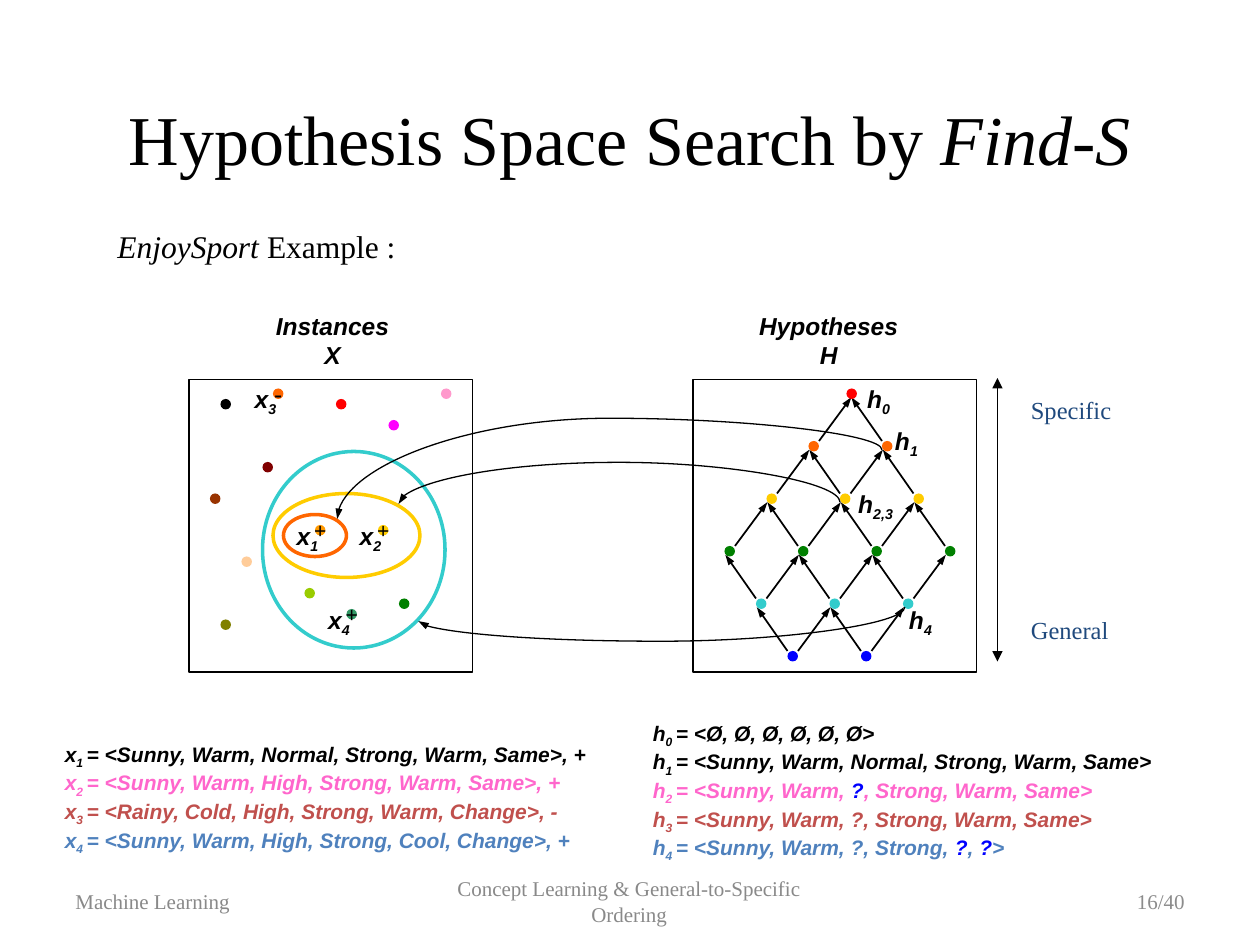
"""Build the slide on hypothesis space search by Find-S."""
import itertools
from dataclasses import dataclass

import lxml.etree
import pptx
import pptx.dml.color
import pptx.enum.shapes
import pptx.enum.text
import pptx.oxml.ns
import pptx.util

BLACK = pptx.dml.color.RGBColor(0x00, 0x00, 0x00)
GREY = pptx.dml.color.RGBColor(0x89, 0x89, 0x89)
PAGE_GREY = pptx.dml.color.RGBColor(0x8C, 0x8C, 0x8C)
NAVY = pptx.dml.color.RGBColor(0x1F, 0x49, 0x7D)
BLUE = pptx.dml.color.RGBColor(0x00, 0x00, 0xFF)
ROSE = pptx.dml.color.RGBColor(0xFF, 0x66, 0xCC)
BRICK = pptx.dml.color.RGBColor(0xC0, 0x50, 0x4D)
STEEL = pptx.dml.color.RGBColor(0x4F, 0x81, 0xBD)
RED = pptx.dml.color.RGBColor(0xFF, 0x00, 0x00)
ORANGE = pptx.dml.color.RGBColor(0xFF, 0x66, 0x00)
AMBER = pptx.dml.color.RGBColor(0xFF, 0x99, 0x00)
YELLOW = pptx.dml.color.RGBColor(0xFF, 0xCC, 0x00)
GREEN = pptx.dml.color.RGBColor(0x00, 0x80, 0x00)
TEAL = pptx.dml.color.RGBColor(0x33, 0xCC, 0xCC)
PINK = pptx.dml.color.RGBColor(0xFF, 0x99, 0xCC)
MAGENTA = pptx.dml.color.RGBColor(0xFF, 0x00, 0xFF)
BROWN = pptx.dml.color.RGBColor(0x99, 0x33, 0x00)
OLIVE = pptx.dml.color.RGBColor(0x80, 0x80, 0x00)
PEACH = pptx.dml.color.RGBColor(0xFF, 0xCC, 0x99)
MAROON = pptx.dml.color.RGBColor(0x80, 0x00, 0x00)
LIME = pptx.dml.color.RGBColor(0x99, 0xCC, 0x00)
SEA = pptx.dml.color.RGBColor(0x33, 0x99, 0x66)
SANS, SERIF = "Arial", "Times New Roman"
LEFT = pptx.enum.text.PP_ALIGN.LEFT
CENTER = pptx.enum.text.PP_ALIGN.CENTER
RIGHT = pptx.enum.text.PP_ALIGN.RIGHT
MIDDLE = pptx.enum.text.MSO_ANCHOR.MIDDLE
OVAL = pptx.enum.shapes.MSO_SHAPE.OVAL
RECTANGLE = pptx.enum.shapes.MSO_SHAPE.RECTANGLE
STRAIGHT = pptx.enum.shapes.MSO_CONNECTOR.STRAIGHT
CURVED = pptx.enum.shapes.MSO_CONNECTOR.CURVE
DOT = 6
ROW_STEP, COLUMN_STEP = 30, 42


@dataclass(frozen=True)
class Piece:
    text: str
    color: pptx.dml.color.RGBColor = BLACK
    size: float = 12
    font: str = SANS
    bold: bool = False
    italic: bool = False
    subscript: bool = False


@dataclass(frozen=True)
class Dot:
    left: float
    top: float
    color: pptx.dml.color.RGBColor
    sign: str = ""
    sign_size: float = 12


@dataclass(frozen=True)
class Row:
    left: float
    count: int
    color: pptx.dml.color.RGBColor
    tip: float = 0.5


@dataclass(frozen=True)
class Curve:
    start: tuple[float, float]
    end: tuple[float, float]
    bend: float


ROWS = [Row(483.7, 1, RED, 2.8), Row(462, 2, ORANGE), Row(438, 3, YELLOW),
        Row(414, 4, GREEN), Row(432, 3, TEAL), Row(450, 2, BLUE)]
INSTANCES = [
    Dot(252, 222, PINK), Dot(222, 240, MAGENTA), Dot(126, 228, BLACK),
    Dot(156, 222, ORANGE, "-", 14), Dot(120, 282, BROWN), Dot(126, 354, OLIVE),
    Dot(138, 318, PEACH), Dot(150, 264, MAROON), Dot(174, 336, LIME),
    Dot(228, 342, GREEN), Dot(198, 348, SEA, "+"), Dot(216, 300, YELLOW, "+"),
    Dot(180, 300, AMBER, "+"), Dot(192, 228, RED)]
CURVES = [Curve((192.7, 296.6), (504, 257), 239), Curve((239, 355), (517, 347), 366.5),
          Curve((227.7, 288), (480, 287), 264)]
LABELS = [("h", "0", 488, 216, 28), ("h", "1", 504, 240, 28), ("h", "2,3", 480.3, 276, 40),
          ("h", "4", 512, 342, 28), ("x", "3", 138, 216, 27.5), ("x", "1", 162, 294, 27.5),
          ("x", "2", 198, 294, 27.5), ("x", "4", 180, 342, 27.5)]
EXAMPLES = [("x", "1", BLACK, "<Sunny, Warm, Normal, Strong, Warm, Same>, +"),
            ("x", "2", ROSE, "<Sunny, Warm, High, Strong, Warm, Same>, +"),
            ("x", "3", BRICK, "<Rainy, Cold, High, Strong, Warm, Change>, -"),
            ("x", "4", STEEL, "<Sunny, Warm, High, Strong, Cool, Change>, +")]
HYPOTHESES = [("h", "0", BLACK, "<Ø, Ø, Ø, Ø, Ø, Ø>"),
              ("h", "1", BLACK, "<Sunny, Warm, Normal, Strong, Warm, Same>"),
              ("h", "2", ROSE, "<Sunny, Warm, *?*, Strong, Warm, Same>"),
              ("h", "3", BRICK, "<Sunny, Warm, ?, Strong, Warm, Same>"),
              ("h", "4", STEEL, "<Sunny, Warm, ?, Strong, *?*, *?*>")]


def fill_paragraph(paragraph, pieces: list[Piece], align) -> None:
    """Write the pieces as formatted runs."""
    paragraph.alignment = align
    for piece in pieces:
        run = paragraph.add_run()
        run.text = piece.text
        run.font.name, run.font.size = piece.font, pptx.util.Pt(piece.size)
        run.font.bold, run.font.italic = piece.bold, piece.italic
        run.font.color.rgb = piece.color
        if piece.subscript:
            run._r.get_or_add_rPr().set("baseline", "-25000")


def add_text(slide, box: tuple, lines: list[list[Piece]], align=LEFT, wrap=True, anchor=None) -> None:
    """Add a text box with one paragraph per line."""
    frame = slide.shapes.add_textbox(*map(pptx.util.Pt, box)).text_frame
    frame.word_wrap = wrap
    if anchor is not None:
        frame.vertical_anchor = anchor
    for index, pieces in enumerate(lines):
        fill_paragraph(frame.add_paragraph() if index else frame.paragraphs[0], pieces, align)


def add_outline(slide, kind, box: tuple, color, width: float) -> None:
    """Add an unfilled shape."""
    shape = slide.shapes.add_shape(kind, *map(pptx.util.Pt, box))
    shape.shadow.inherit = False
    shape.fill.background()
    shape.line.color.rgb, shape.line.width = color, pptx.util.Pt(width)


def add_dot(slide, dot: Dot) -> None:
    """Add a small filled circle, with its sign if it has one."""
    shape = slide.shapes.add_shape(OVAL, *map(pptx.util.Pt, (dot.left, dot.top, DOT, DOT)))
    shape.shadow.inherit = False
    shape.fill.solid()
    shape.fill.fore_color.rgb = dot.color
    shape.line.fill.background()
    if dot.sign:
        shape.text_frame.word_wrap = False
        shape.text_frame.vertical_anchor = MIDDLE
        fill_paragraph(shape.text_frame.paragraphs[0], [Piece(dot.sign, size=dot.sign_size)], CENTER)


def add_arrow(slide, start: tuple, end: tuple, width: float, heads: tuple, kind=STRAIGHT, head_width="sm"):
    """Add a connector with the named arrowheads."""
    connector = slide.shapes.add_connector(kind, *map(pptx.util.Pt, (*start, *end)))
    connector.line.color.rgb, connector.line.width = BLACK, pptx.util.Pt(width)
    for head in heads:
        lxml.etree.SubElement(connector.line._get_or_add_ln(), pptx.oxml.ns.qn(f"a:{head}"),
                              type="triangle", w=head_width, len="med")
    lxml.etree.SubElement(connector._element.spPr, pptx.oxml.ns.qn("a:effectLst"))
    return connector


def add_curve(slide, curve: Curve) -> None:
    """Add a curved connector that leaves both ends vertically and turns at the bend."""
    (start_x, start_y), (end_x, end_y) = curve.start, curve.end
    width, height = start_y - end_y, end_x - start_x
    left, top = (start_x + end_x - width) / 2, (start_y + end_y - height) / 2
    connector = add_arrow(slide, (left, top), (left + width, top + height), 0.75, ("headEnd",), CURVED)
    properties = connector._element.spPr
    below = curve.bend > start_y
    properties.xfrm.set("rot", "5400000" if below else "16200000")
    if below:
        properties.xfrm.set("flipH", "1")
        properties.xfrm.set("flipV", "1")
    guides = properties.find(".//" + pptx.oxml.ns.qn("a:avLst"))
    ratio = round((start_y - curve.bend) / width * 100000)
    lxml.etree.SubElement(guides, pptx.oxml.ns.qn("a:gd"), name="adj1", fmla=f"val {ratio}")


def add_lattice(slide) -> None:
    """Add the rows of hypotheses and the arrows to their neighbours above."""
    rows = [[Dot(row.left + COLUMN_STEP * column, 222 + ROW_STEP * index, row.color)
             for column in range(row.count)] for index, row in enumerate(ROWS)]
    for row, upper_dots, lower_dots in zip(ROWS, rows, rows[1:]):
        for upper, lower in itertools.product(upper_dots, lower_dots):
            if abs(upper.left - lower.left) < ROW_STEP:
                start_x = lower.left + (DOT if upper.left > lower.left else 0)
                add_arrow(slide, (start_x, lower.top), (upper.left + row.tip, upper.top + 5), 1, ("tailEnd",))
    for dot in itertools.chain(*rows):
        add_dot(slide, dot)


def definition(name: str, index: str, color, value: str) -> list[Piece]:
    """Return a definition line, with starred parts in blue."""
    parts = f"= {value}".split("*")
    return [Piece(name, color, bold=True, italic=True),
            Piece(f"{index} ", color, bold=True, italic=True, subscript=True),
            *(Piece(part, BLUE if number % 2 else color, bold=True, italic=True)
              for number, part in enumerate(parts))]


def main() -> None:
    """Build and save the slide."""
    presentation = pptx.Presentation()
    presentation.slide_width, presentation.slide_height = pptx.util.Pt(720), pptx.util.Pt(540)
    slide = presentation.slides.add_slide(presentation.slide_layouts[5])
    title = slide.shapes.title
    title.left, title.top, title.width, title.height = map(pptx.util.Pt, (36, 33.5, 648, 90))
    title.text_frame.vertical_anchor = MIDDLE
    fill_paragraph(title.text_frame.paragraphs[0],
                   [Piece("Hypothesis Space Search by", size=40, font=SERIF),
                    Piece(" Find-S", size=40, font=SERIF, italic=True)], CENTER)
    for text, left, width, color, align in [
            ("Machine Learning", 36, 168, GREY, LEFT),
            ("Concept Learning & General-to-Specific Ordering", 245.5, 228, GREY, CENTER),
            ("16/40", 516, 168, PAGE_GREY, RIGHT)]:
        add_text(slide, (left, 500.5, width, 28.8), [[Piece(text, color, font=SERIF)]], align, anchor=MIDDLE)
    add_text(slide, (60, 126, 228, 36), [[Piece("EnjoySport ", size=18, font=SERIF, italic=True),
                                          Piece("Example :", size=18, font=SERIF)]])
    add_text(slide, (30, 420, 324, 79), [definition(*example) for example in EXAMPLES])
    add_text(slide, (366, 408, 318, 79), [definition(*hypothesis) for hypothesis in HYPOTHESES])
    for heading, left, width, frame_left in [(("Instances", "X"), 144, 92, 108),
                                             (("Hypotheses", "H"), 420, 107, 396)]:
        add_text(slide, (left, 174, width, 24),
                 [[Piece(line, size=14, bold=True, italic=True)] for line in heading], CENTER)
        add_outline(slide, RECTANGLE, (frame_left, 217, 162, 167), BLACK, 0.75)
    add_lattice(slide)
    add_outline(slide, OVAL, (150, 258, 104.3, 112.3), TEAL, 2)
    for dot in INSTANCES:
        add_dot(slide, dot)
    for name, index, left, top, width in LABELS:
        add_text(slide, (left, top, width, 24),
                 [[Piece(name, size=14, bold=True, italic=True),
                   Piece(index, size=14, bold=True, italic=True, subscript=True)]], CENTER, wrap=False)
    add_outline(slide, OVAL, (156, 282, 84, 48), YELLOW, 2)
    add_outline(slide, OVAL, (162, 294, 36, 24), ORANGE, 2)
    for curve in CURVES:
        add_curve(slide, curve)
    add_arrow(slide, (570, 216), (570, 378), 0.75, ("headEnd", "tailEnd"), head_width="med")
    for text, top in [("Specific", 222), ("General", 348)]:
        add_text(slide, (582, top, 72, 24), [[Piece(text, NAVY, 14, SERIF)]])
    presentation.save("out.pptx")


if __name__ == "__main__":
    main()
